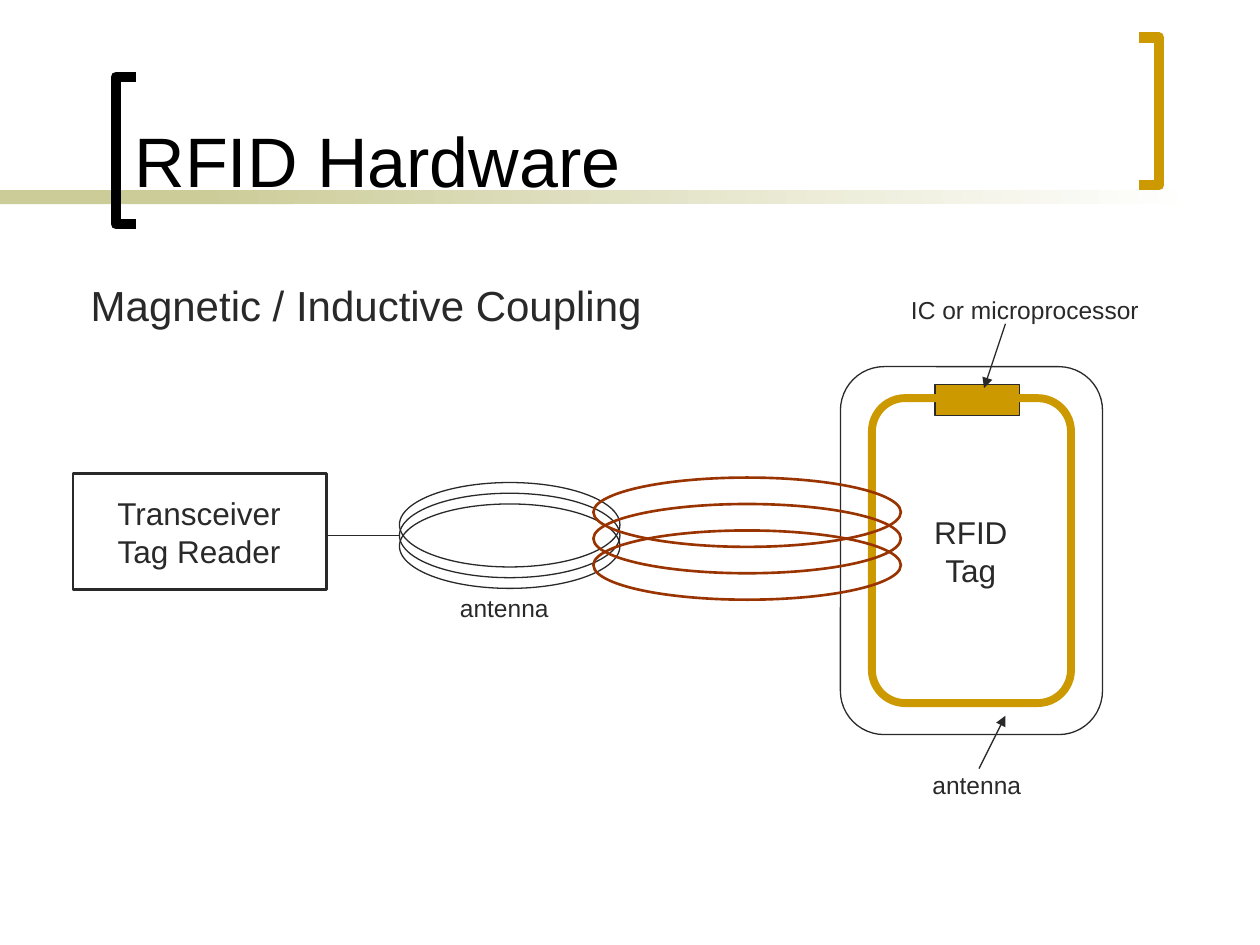
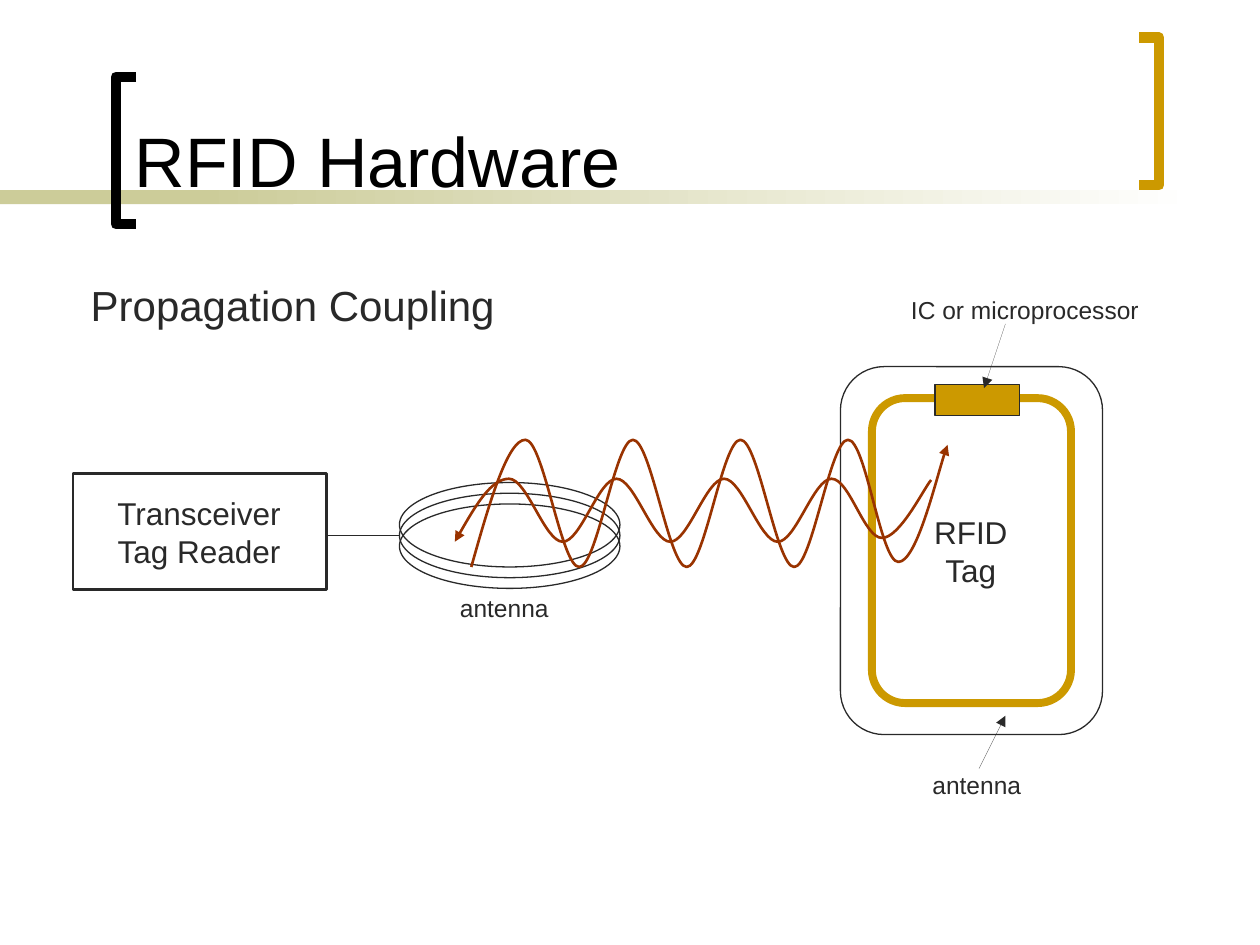
from dataclasses import dataclass

from lxml.etree import Element, SubElement
from pptx import Presentation
from pptx.dml.color import RGBColor
from pptx.enum.shapes import MSO_CONNECTOR as Connector, MSO_SHAPE as Shape
from pptx.enum.text import MSO_ANCHOR as Anchor, MSO_AUTO_SIZE as AutoSize, PP_ALIGN as Align
from pptx.oxml.ns import qn
from pptx.util import Inches, Pt


@dataclass(frozen=True)
class Theme:
    font: str = "Arial"
    black: str = "000000"
    ink: str = "292929"
    gold: str = "CC9900"
    olive: str = "CCCC99"
    rust: str = "993300"
    white: str = "FFFFFF"
    title_size: int = 40
    heading_size: int = 24
    name_size: int = 18
    label_size: int = 14
    thin: float = 0.75
    medium: float = 1.5
    antenna: float = 4.5
    bracket: float = 6


@dataclass(frozen=True)
class Box:
    left: float
    top: float
    width: float
    height: float

    def inner(self, x, y, width, height):
        return Box(self.left + x, self.top + y, width, height)

    def point(self, x, y):
        return self.left + x, self.top + y

    def lengths(self):
        return [Inches(v) for v in (self.left, self.top, self.width, self.height)]


THEME = Theme()
SLIDE = Box(0, 0, 10, 7.5)
READER = Box(0.58, 3.76, 4.34, 1.23)
TAG = Box(6.67, 2.91, 2.08, 2.92)
FIELD = Box(4.71, 3.79, 2.44, 0.97)
WAVES = Box(3.61, 3.49, 3.91, 1.01)


# Drawing helpers
def rgb(color):
    return RGBColor.from_string(color)


def set_line(shape, color, width):
    shape.line.color.rgb = rgb(color)
    shape.line.width = Pt(width)


def add_arrowhead(shape, end):
    SubElement(shape.line._get_or_add_ln(), qn(f"a:{end}"), type="triangle")


def add_figure(shapes, kind, box, line=None, width=THEME.thin, fill=None):
    figure = shapes.add_shape(kind, *box.lengths())
    figure.shadow.inherit = False
    if fill:
        figure.fill.solid()
        figure.fill.fore_color.rgb = rgb(fill)
    else:
        figure.fill.background()
    if line:
        set_line(figure, line, width)
    else:
        figure.line.fill.background()
    return figure


def add_stroke(shapes, points, color, width):
    """Open outline through the given points."""
    scaled = [(Inches(x), Inches(y)) for x, y in points]
    builder = shapes.build_freeform(*scaled[0])
    builder.add_line_segments(scaled[1:], close=False)
    stroke = builder.convert_to_shape()
    stroke.shadow.inherit = False
    stroke.fill.background()
    set_line(stroke, color, width)
    return stroke


def bend(stroke, curves):
    """Turn each straight segment into a curve with two controls and an end."""
    segments = list(stroke._element.iter(qn("a:lnTo")))
    for segment, curve in zip(segments, curves):
        bezier = Element(qn("a:cubicBezTo"))
        for x, y in curve:
            SubElement(bezier, qn("a:pt"), x=str(Inches(x) - stroke.left),
                       y=str(Inches(y) - stroke.top))
        segment.getparent().replace(segment, bezier)


def add_link(shapes, start, end, arrow=False, hairline=False):
    link = shapes.add_connector(Connector.STRAIGHT, *(Inches(v) for v in start + end))
    link.line.color.rgb = rgb(THEME.ink)
    if hairline:
        link._element.remove(link._element.find(qn("p:style")))
    else:
        link.line.width = Pt(THEME.thin)
    if arrow:
        add_arrowhead(link, "tailEnd")
    SubElement(link._element.spPr, qn("a:effectLst"))


def add_text(shapes, box, lines, size, color=THEME.ink, anchor=Anchor.TOP,
             align=Align.LEFT, wrap=False):
    text_box = shapes.add_textbox(*box.lengths())
    frame = text_box.text_frame
    frame.word_wrap = wrap
    frame.auto_size = AutoSize.NONE if wrap else AutoSize.SHAPE_TO_FIT_TEXT
    frame.vertical_anchor = anchor
    frame.margin_left = frame.margin_right = Inches(0.05)
    frame.margin_top = frame.margin_bottom = Inches(0.05)
    for index, line in enumerate(lines):
        para = frame.add_paragraph() if index else frame.paragraphs[0]
        para.text = line
        para.alignment = align
        para.font.name = THEME.font
        para.font.size = Pt(size)
        para.font.color.rgb = rgb(color)
    return frame


def add_name(shapes, box, lines):
    add_text(shapes, box, lines, THEME.name_size, anchor=Anchor.MIDDLE, align=Align.CENTER)


def add_label(shapes, box, text):
    add_text(shapes, box, [text], THEME.label_size)


# Slide frame: band, brackets, title and heading
def add_bracket(shapes, box, color, opens_right):
    spine, tips = (0, box.width) if opens_right else (box.width, 0)
    corners = [(tips, 0), (spine, 0), (spine, box.height), (tips, box.height)]
    add_stroke(shapes, [box.point(x, y) for x, y in corners], color, THEME.bracket)


def add_frame(page, box, heading):
    shapes = page.shapes
    add_figure(shapes, Shape.RECTANGLE, box.inner(0, 1.51, 2.33, 0.11), fill=THEME.olive)
    fade = add_figure(shapes, Shape.RECTANGLE, box.inner(1.58, 1.51, 7.92, 0.11))
    fade.fill.gradient()
    fade.fill.gradient_angle = 0
    for stop, color in zip(fade.fill.gradient_stops, (THEME.olive, THEME.white)):
        stop.color.rgb = rgb(color)
    add_bracket(shapes, box.inner(0.92, 0.61, 0.16, 1.17), THEME.black, opens_right=True)
    add_bracket(shapes, box.inner(9.04, 0.3, 0.16, 1.17), THEME.gold, opens_right=False)
    add_text(shapes, box.inner(1.02, 0.1, 7.83, 1.55), ["RFID Hardware"],
             THEME.title_size, THEME.black, Anchor.BOTTOM, wrap=True)
    frame = add_text(shapes, box.inner(0.67, 2.17, 5.1, 0.57), [heading],
                     THEME.heading_size, wrap=True)
    para = frame.paragraphs[0]
    para.space_before = Pt(5)
    indent = Inches(0.49)
    properties = para._p.get_or_add_pPr()
    properties.set("marL", str(indent))
    properties.set("indent", str(-indent))


# Diagram regions
def add_coil(shapes, box, loop_height, color, width, loops=3):
    step = (box.height - loop_height) / (loops - 1)
    for loop in reversed(range(loops)):
        add_figure(shapes, Shape.OVAL, box.inner(0, loop * step, box.width, loop_height),
                   color, width)


def add_reader(page, box):
    shapes = page.shapes.add_group_shape().shapes
    add_figure(shapes, Shape.RECTANGLE, box.inner(0, 0, 2.01, 0.92), THEME.ink, THEME.medium)
    add_name(shapes, box.inner(0.26, 0.12, 1.48, 0.68), ["Transceiver", "Tag Reader"])
    add_coil(shapes, box.inner(2.59, 0.07, 1.75, 0.84), 0.67, THEME.ink, THEME.thin)
    add_link(shapes, box.point(2, 0.49), box.point(2.59, 0.49))
    add_label(shapes, box.inner(3.02, 0.9, 0.82, 0.32), "antenna")


def add_tag(page, box, chip_on_top):
    shapes = page.shapes.add_group_shape().shapes
    add_figure(shapes, Shape.ROUNDED_RECTANGLE, box, THEME.ink,
               fill=None if chip_on_top else THEME.white)
    add_name(shapes, box.inner(0.65, 1.12, 0.77, 0.68), ["RFID", "Tag"])
    if not chip_on_top:
        add_chip(shapes, box)
        add_callouts(shapes, box)
    inset = 0.25
    antenna = box.inner(inset, inset, box.width - 2 * inset, box.height - 2 * inset)
    add_figure(shapes, Shape.ROUNDED_RECTANGLE, antenna, THEME.gold, THEME.antenna)
    if chip_on_top:
        add_chip(shapes, box)


def add_chip(shapes, box):
    add_figure(shapes, Shape.RECTANGLE, box.inner(0.75, 0.14, 0.67, 0.25),
               THEME.ink, fill=THEME.gold)


def add_callouts(shapes, box, hairline=False):
    add_label(shapes, box.inner(0.51, -0.62, 1.92, 0.32), "IC or microprocessor")
    add_link(shapes, box.point(1.31, -0.34), box.point(1.14, 0.17), True, hairline)
    add_label(shapes, box.inner(0.68, 3.15, 0.82, 0.32), "antenna")
    add_link(shapes, box.point(1.1, 3.19), box.point(1.31, 2.77), True, hairline)


def add_wave(shapes, box, last_trough, end, end_control, arrow_end):
    """Wave from the bottom left of the box, turning at crests and troughs."""
    first, last, crests = 0.43, 2.99, 7
    half = (last - first) / (crests - 1)
    turns = [(first + half * k, box.height * (k % 2)) for k in range(crests)]
    anchors = [box.point(*p) for p in [(0, box.height), *turns, last_trough, end]]
    reach = half / 3
    curves = [[(x1 + reach, y1), (x2 - reach, y2), (x2, y2)]
              for (x1, y1), (x2, y2) in zip(anchors, anchors[1:])]
    # The wave starts and ends on a slope
    curves[0][0] = box.point(reach, box.height / 2)
    curves[-1][1] = box.point(*end_control)
    wave = add_stroke(shapes, anchors, THEME.rust, THEME.medium)
    bend(wave, curves)
    add_arrowhead(wave, arrow_end)


def add_waves(page, box):
    add_wave(page.shapes, box.inner(0.13, 0, 3.78, 1.01),
             (3.39, 0.97), (3.78, 0.04), (3.72, 0.19), "tailEnd")
    add_wave(page.shapes, box.inner(0, 0.31, 3.78, 0.5),
             (3.39, 0.47), (3.78, 0.01), (3.72, 0.08), "headEnd")


# Slides
def add_page(deck, heading):
    page = deck.slides.add_slide(deck.slide_layouts[6])
    add_frame(page, SLIDE, heading)
    add_reader(page, READER)
    return page


def add_inductive_slide(deck):
    page = add_page(deck, "Magnetic / Inductive Coupling")
    add_tag(page, TAG, chip_on_top=False)
    field = page.shapes.add_group_shape().shapes
    add_coil(field, FIELD, 0.55, THEME.rust, THEME.medium)


def add_propagation_slide(deck):
    page = add_page(deck, "Propagation Coupling")
    add_tag(page, TAG, chip_on_top=True)
    add_waves(page, WAVES)
    add_callouts(page.shapes, TAG, hairline=True)


def main():
    deck = Presentation()
    deck.slide_width, deck.slide_height = Inches(SLIDE.width), Inches(SLIDE.height)
    add_inductive_slide(deck)
    add_propagation_slide(deck)
    deck.save("out.pptx")


if __name__ == "__main__":
    main()
